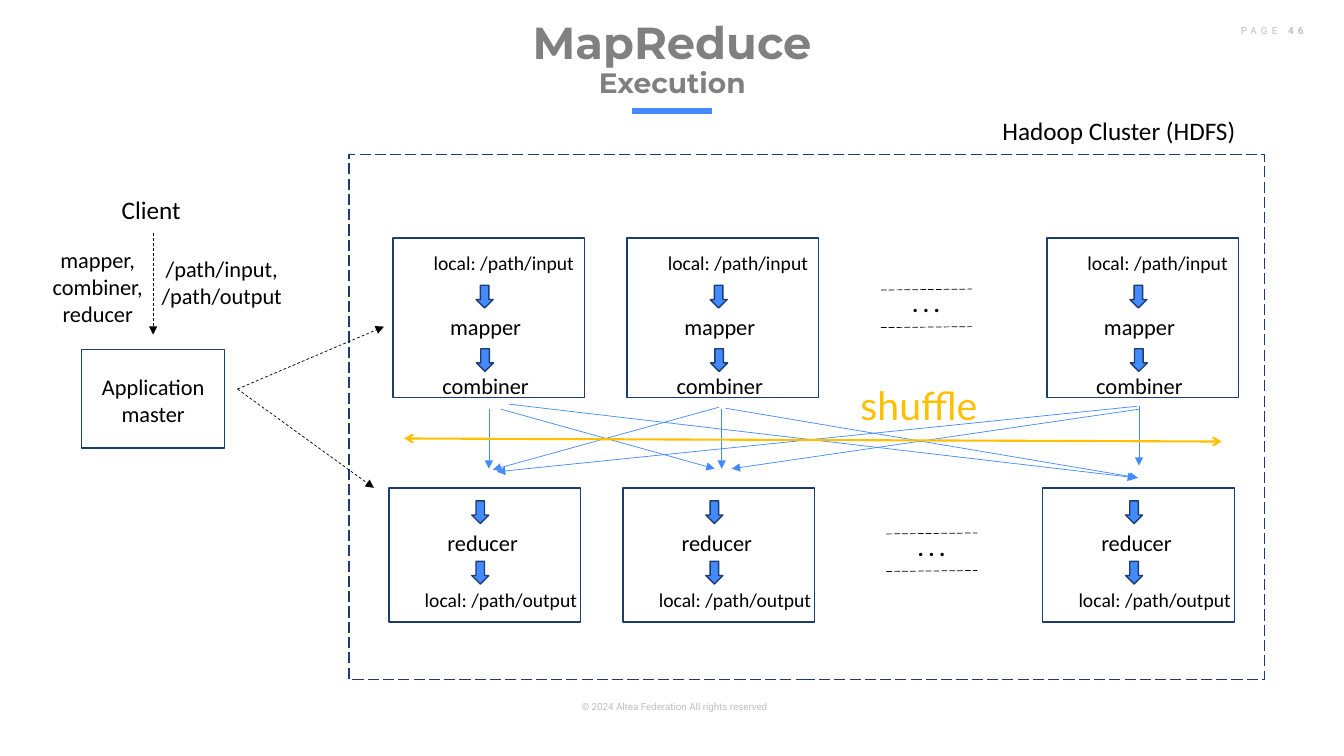
"""Builds the slide on how MapReduce runs on a Hadoop cluster."""
from pptx import Presentation
from pptx.dml.color import RGBColor
from pptx.enum.dml import MSO_LINE
from pptx.enum.shapes import MSO_CONNECTOR, MSO_SHAPE
from pptx.enum.text import MSO_ANCHOR, MSO_AUTO_SIZE, PP_ALIGN
from pptx.oxml.ns import qn
from pptx.util import Pt
from lxml import etree

RECT, DOWN = MSO_SHAPE.RECTANGLE, MSO_SHAPE.DOWN_ARROW
STRAIGHT = MSO_CONNECTOR.STRAIGHT
DASH, LONG_DASH = MSO_LINE.DASH, MSO_LINE.LONG_DASH
CENTER, RIGHT = PP_ALIGN.CENTER, PP_ALIGN.RIGHT
MIDDLE, NO_FIT = MSO_ANCHOR.MIDDLE, MSO_AUTO_SIZE.NONE


class Theme:
    black = RGBColor(0x00, 0x00, 0x00)
    navy = RGBColor(0x1D, 0x3C, 0x6F)
    blue = RGBColor(0x43, 0x8A, 0xFE)
    amber = RGBColor(0xFF, 0xC0, 0x00)
    gray = RGBColor(0x80, 0x80, 0x80)
    pale = RGBColor(0xBF, 0xBF, 0xBF)
    head, body, accent, small = "Montserrat", "Calibri", "Lato", "Roboto"
    title, shuffle, subtitle, label, step, local, note = 32, 28, 20, 18, 16, 14, 7


def add_text(x, y, w, h, text, size, font=Theme.body, color=Theme.black, align=CENTER):
    tf = s.shapes.add_textbox(Pt(x), Pt(y), Pt(w), Pt(h)).text_frame
    tf.word_wrap = True
    tf.text = text
    for p in tf.paragraphs:
        p.alignment = align
        for r in p.runs:
            r.font.name, r.font.size, r.font.color.rgb = font, Pt(size), color
    return tf


def add_line(start, end, color, width=0.5, dash=None, head=None, tail=None):
    line = s.shapes.add_connector(STRAIGHT, *(Pt(v) for v in start + end))
    line.line.color.rgb = color
    line.line.width = Pt(width)
    if dash:
        line.line.dash_style = dash
    ln = line.get_or_add_ln()
    for tag, kind in (("a:headEnd", head), ("a:tailEnd", tail)):
        if kind:
            etree.SubElement(ln, qn(tag), type=kind)
    etree.SubElement(line._element.spPr, qn("a:effectLst"))


prs = Presentation()
prs.slide_width, prs.slide_height = Pt(960), Pt(540)
s = prs.slides.add_slide(prs.slide_layouts[5])

title = s.shapes.title
title.left, title.top, title.width, title.height = Pt(66.2), Pt(12.2), Pt(828), Pt(62)
tf = title.text_frame
tf.auto_size, tf.vertical_anchor = NO_FIT, MIDDLE
p = tf.paragraphs[0]
p.text = "MapReduce\vExecution"
p.alignment, p.line_spacing = CENTER, 0.9
for r, size in zip(p.runs, (Theme.title, Theme.subtitle)):
    r.font.name, r.font.size, r.font.bold = Theme.head, Pt(size), True
    r.font.color.rgb = Theme.gray
add_line((451.4, 79.2), (508.3, 79.2), Theme.blue, 4.5)

tf = add_text(404.6, 496.8, 150.5, 16, "© 2024 Altea Federation All rights reserved",
              Theme.note, Theme.small, Theme.pale, RIGHT)
tf.word_wrap = False
p = add_text(860.4, 14.4, 77.8, 28.8, "PAGE ", Theme.note, Theme.small, Theme.pale, RIGHT).paragraphs[0]
r = p.add_run()
r.text = "46"
r.font.name, r.font.size, r.font.bold = Theme.small, Pt(Theme.note), True
r.font.color.rgb = Theme.pale
for r in p.runs:
    r._r.get_or_add_rPr().set("spc", "300")

boxes = [(249.3, 110.3, 653.8, 375), (58.3, 249.8, 102.2, 70.2)]
arrows = []
for x in (280.8, 448, 747.8):
    boxes += [(x, 170, 136.8, 113.8), (x - 2.9, 348.5, 136.8, 95.8)]
    arrows += [(x + 59.3, 203.8), (x + 59.6, 249.1), (x + 56.2, 357.8), (x + 56.2, 401)]
    add_text(x + 15, 175.7, 128.2, 24.5, "local: /path/input", Theme.local)
    add_text(x + 15, 220.3, 102.2, 22.3, "mapper", Theme.step)
    add_text(x + 15, 262, 102.2, 22.3, "combiner", Theme.step)
    add_text(x + 12.9, 374.4, 102.2, 28, "reducer", Theme.step)
    add_text(x + 12.9, 416.2, 128.2, 25.2, "local: /path/output", Theme.local)

for i, (x, y, w, h) in enumerate(boxes):
    box = s.shapes.add_shape(RECT, Pt(x), Pt(y), Pt(w), Pt(h))
    box.shadow.inherit = False
    box.fill.background()
    box.line.color.rgb, box.line.width = Theme.navy, Pt(1)
    if i == 0:
        box.line.dash_style = LONG_DASH

for x, y in arrows:
    arrow = s.shapes.add_shape(DOWN, Pt(x), Pt(y), Pt(12.2), Pt(16.2))
    arrow.shadow.inherit = False
    arrow.fill.solid()
    arrow.fill.fore_color.rgb = Theme.blue
    arrow.line.color.rgb, arrow.line.width = Theme.navy, Pt(1)

for x, y in ((629.2, 207.2), (633.2, 381.4)):
    tf = add_text(x + 5.2, y - 3.4, 54, 26.6, ". . .", Theme.step, Theme.accent)
    tf.paragraphs[0].runs[0].font.bold = True
    for dy in (0, 26.8):
        add_line((x, y + dy), (x + 65, y + dy - 0.7), Theme.black, dash=LONG_DASH)

shuffle_lines = [
    ((349.2, 292.3), (349.2, 334.8)), ((357.8, 292.3), (510.5, 334.8)),
    ((363.6, 288.7), (811.4, 341.3)), ((515.5, 292.3), (515.5, 334.8)),
    ((518.4, 291.6), (812.9, 341.3)), ((513.4, 290.9), (352.1, 335.5)),
    ((812.2, 290.2), (355, 337)), ((813.6, 290.2), (813.6, 332.6)),
    ((813.6, 292.3), (522.7, 334.8)),
]
for start, end in shuffle_lines:
    add_line(start, end, Theme.blue, tail="triangle")
add_line((288.7, 313.2), (872.6, 315.4), Theme.amber, 1.5, head="arrow", tail="arrow")
add_text(596.9, 268.6, 118.8, 41, "shuffle", Theme.shuffle, Theme.accent, Theme.amber)

for start, end in (((169.6, 277.9), (274.3, 233.3)), ((169.6, 277.9), (267.1, 348.5)),
                   ((109.4, 166.3), (109.4, 239))):
    add_line(start, end, Theme.black, dash=DASH, tail="triangle")
add_text(77, 135.4, 61.9, 28.8, "Client", Theme.label)
add_text(18.7, 172.1, 102.2, 65.5, "mapper,\ncombiner,\nreducer", Theme.step)
add_text(107.3, 178.6, 102.2, 46, "/path/input,\n/path/output", Theme.step)
add_text(58.3, 262.8, 102.2, 46, "Application master", Theme.step)
add_text(700.6, 78.5, 197.3, 28.8, "Hadoop Cluster (HDFS)", Theme.label)

prs.save("out.pptx")
